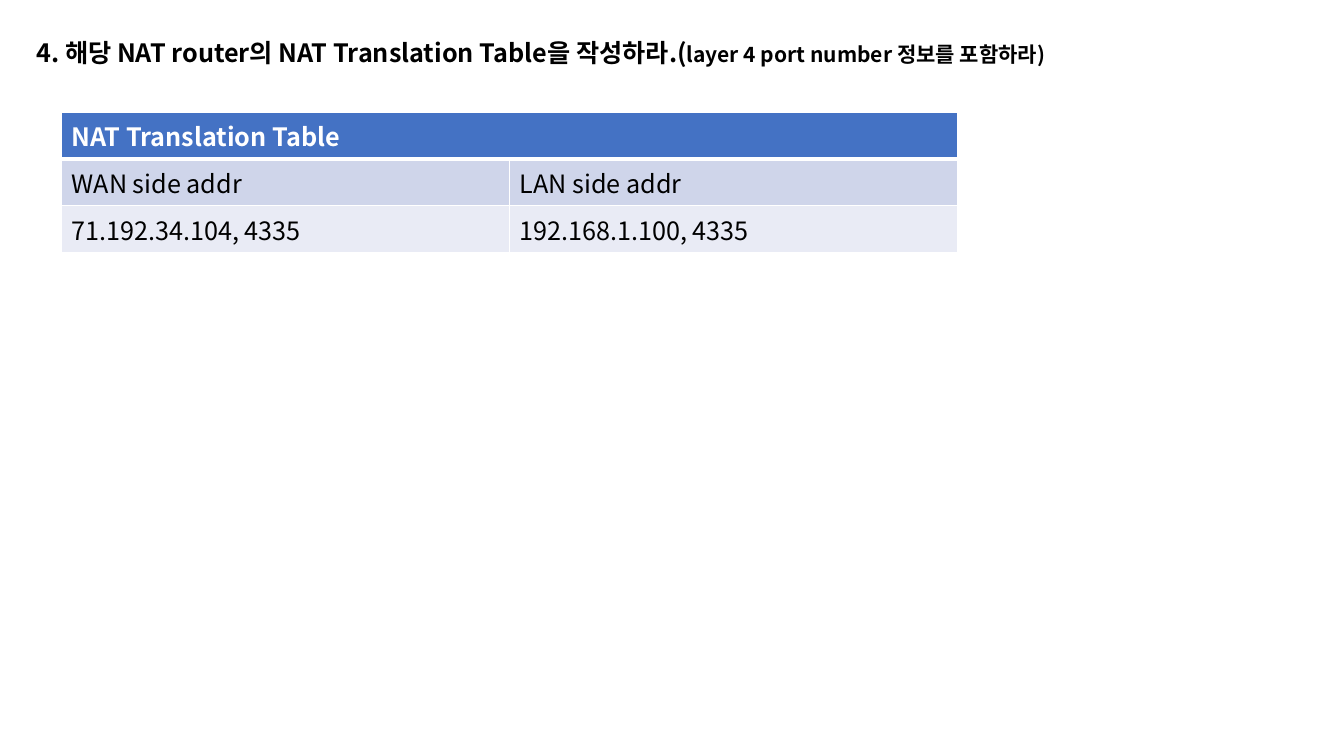
from lxml import etree
from pptx import Presentation
from pptx.dml.color import RGBColor
from pptx.enum.text import MSO_ANCHOR, MSO_AUTO_SIZE, PP_ALIGN
from pptx.oxml.ns import qn
from pptx.util import Cm, Pt

LEFT, TOP = PP_ALIGN.LEFT, MSO_ANCHOR.TOP
NO_FIT = MSO_AUTO_SIZE.NONE
FONT = "Noto Sans CJK KR"
BLACK, WHITE = "000000", "FFFFFF"
TITLE_ONLY = 5

# Content
TITLE = [
    ("4. 해당 NAT router의 NAT Translation Table을 작성하라.(", 18),
    ("layer 4 port number 정보를 포함하라)", 15),
]
ROWS = [
    ["NAT Translation Table", ""],
    ["WAN side addr", "LAN side addr"],
    ["71.192.34.104, 4335", "192.168.1.100, 4335"],
]
ROW_FILLS = ["4472C4", "CFD5EA", "E9EBF5"]
ROW_HEIGHTS = [Cm(1.03), Cm(1.03), Cm(1.17)]
COLUMN_WIDTH = Cm(11.29)


def color(value):
    return RGBColor.from_string(value)


def style_span(span, size, ink, bold):
    font = span.font
    font.size, font.bold, font.name = Pt(size), bold, FONT
    font.color.rgb = color(ink)
    etree.SubElement(span._r.get_or_add_rPr(), qn("a:ea"), typeface=FONT)


def add_borders(cell, widths):
    properties = cell._tc.get_or_add_tcPr()
    for index, (side, width) in enumerate(widths.items()):
        line = etree.Element(qn(f"a:ln{side}"), w=str(Pt(width)))
        fill = etree.SubElement(line, qn("a:solidFill"))
        etree.SubElement(fill, qn("a:srgbClr"), val=WHITE)
        properties.insert(index, line)


deck = Presentation()
deck.slide_width, deck.slide_height = Cm(33.87), Cm(19.05)
page = deck.slides.add_slide(deck.slide_layouts[TITLE_ONLY])

# Title
title = page.shapes.title
title.left, title.top, title.width, title.height = Cm(0.66), Cm(0.66), Cm(28.02), Cm(1.88)
frame = title.text_frame
frame.word_wrap, frame.auto_size, frame.vertical_anchor = True, NO_FIT, TOP
para = frame.paragraphs[0]
para.alignment, para.line_spacing = LEFT, 1.2
for text, size in TITLE:
    span = para.add_run()
    span.text = text
    style_span(span, size, BLACK, True)

# Translation table
table = page.shapes.add_table(
    len(ROWS), len(ROWS[0]), Cm(1.55), Cm(2.84),
    COLUMN_WIDTH * len(ROWS[0]), sum(ROW_HEIGHTS),
).table
for column in table.columns:
    column.width = COLUMN_WIDTH
table.cell(0, 0).merge(table.cell(0, 1))

for r, (texts, fill, height) in enumerate(zip(ROWS, ROW_FILLS, ROW_HEIGHTS)):
    table.rows[r].height = height
    header = r == 0
    widths = {"L": 1, "R": 1, "T": 3 if r == 1 else 1, "B": 3 if header else 1}
    for c, text in enumerate(texts):
        cell = table.cell(r, c)
        cell.fill.solid()
        cell.fill.fore_color.rgb = color(fill)
        add_borders(cell, widths)
        if text:
            cell.text_frame.text = text
            span = cell.text_frame.paragraphs[0].runs[0]
            style_span(span, 18, WHITE if header else BLACK, header)

deck.save("out.pptx")
